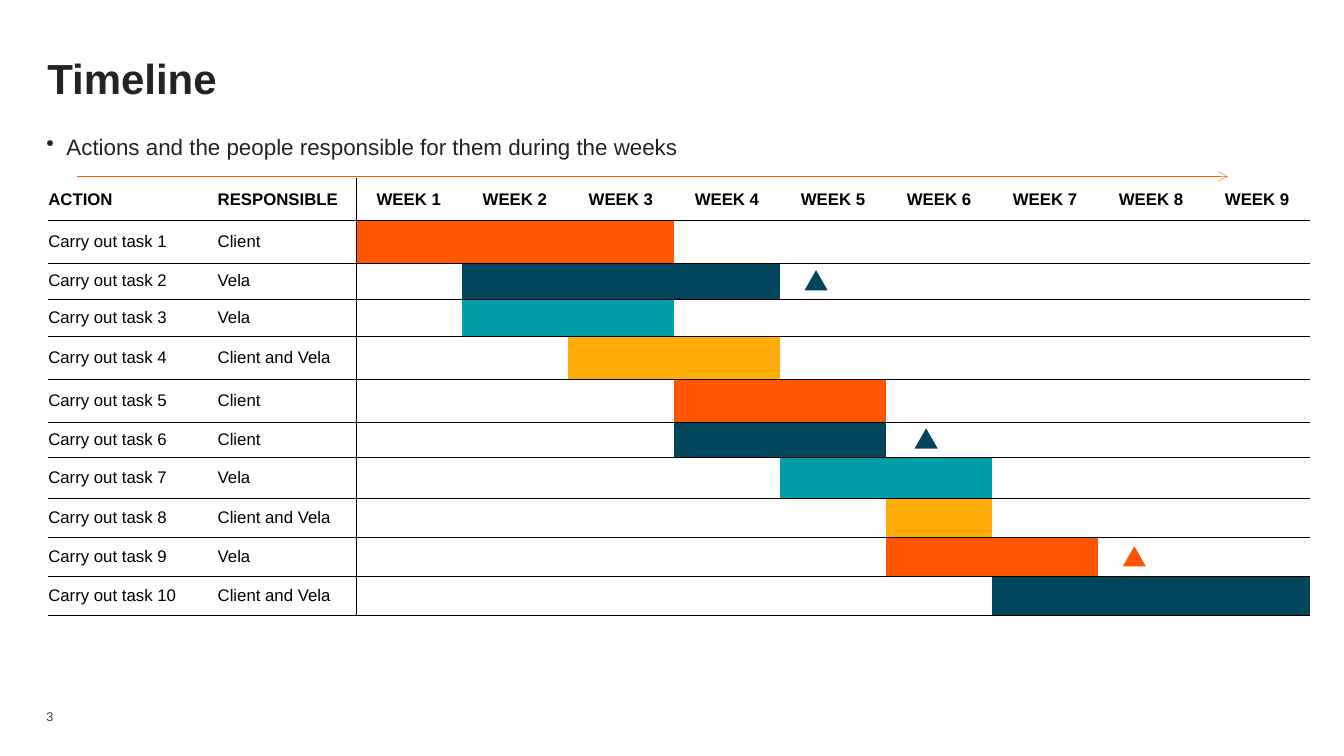
"""Build a timeline slide: a table of tasks by week with coloured bars and milestones."""
from pptx import Presentation
from pptx.dml.color import RGBColor
from pptx.enum.shapes import MSO_CONNECTOR as CONNECTOR, MSO_SHAPE as SHAPE
from pptx.enum.text import MSO_ANCHOR as ANCHOR, PP_ALIGN as ALIGN
from pptx.oxml.ns import qn
from pptx.util import Pt
from lxml.etree import SubElement

ORANGE, NAVY, TEAL, YELLOW = "FF5400", "00455C", "009EA6", "FFAB08"
BLACK, INK, GREY = "000000", "232323", "323E47"
FONT = "Arial"

TITLE = "Timeline"
SUBTITLE = "Actions and the people responsible for them during the weeks"
PAGE = "3"
WEEKS = 9
HEADERS = ["ACTION", "RESPONSIBLE"] + [f"WEEK {week}" for week in range(1, WEEKS + 1)]
# responsible, first week, last week, colour, row height
TASKS = [
    ("Client", 1, 3, ORANGE, 30.4),
    ("Vela", 2, 4, NAVY, 25.6),
    ("Vela", 2, 3, TEAL, 26.4),
    ("Client and Vela", 3, 4, YELLOW, 31.2),
    ("Client", 4, 5, ORANGE, 30.2),
    ("Client", 4, 5, NAVY, 25.4),
    ("Vela", 5, 6, TEAL, 29),
    ("Client and Vela", 6, 6, YELLOW, 28.4),
    ("Vela", 6, 7, ORANGE, 27.2),
    ("Client and Vela", 7, 9, NAVY, 28.2),
]
MILESTONES = [(574.7, 193, NAVY), (653.3, 306, NAVY), (802, 390.2, ORANGE)]

TABLE_LEFT, TABLE_TOP, HEADER_HEIGHT = 34.5, 127.3, 30.2
COLUMN_WIDTHS = [121, 98.7] + [75.75] * WEEKS
THIN, THICK = 0.25, 1


def color(value):
    return RGBColor.from_string(value)


def style(paragraph, size, ink, bold=False):
    font = paragraph.font
    font.name, font.size, font.bold = FONT, Pt(size), bold
    font.color.rgb = color(ink)


def clear_margins(box):
    box.margin_left = box.margin_right = box.margin_top = box.margin_bottom = 0


def add_text(slide, text, left, top, width, height, size, ink, bold=False):
    frame = slide.shapes.add_textbox(Pt(left), Pt(top), Pt(width), Pt(height)).text_frame
    frame.word_wrap = True
    clear_margins(frame)
    paragraph = frame.paragraphs[0]
    paragraph.text = text
    style(paragraph, size, ink, bold)
    return frame


def add_bullet(paragraph, indent):
    properties = paragraph._p.get_or_add_pPr()
    properties.set("marL", str(Pt(indent)))
    properties.set("indent", str(-Pt(indent)))
    bullet = properties.makeelement(qn("a:buChar"), {"char": "•"})
    properties.insert_element_before(bullet, "a:tabLst", "a:defRPr", "a:extLst")


def set_borders(cell, **widths):
    properties = cell._tc.get_or_add_tcPr()
    for side in "LRTB":
        width = widths.get(side, 0)
        line = SubElement(properties, qn(f"a:ln{side}"), w=str(Pt(width)))
        if width:
            fill = SubElement(line, qn("a:solidFill"))
            SubElement(fill, qn("a:srgbClr"), val=BLACK)
        else:
            SubElement(line, qn("a:noFill"))


def fill_cell(cell, row, column, text, bar):
    clear_margins(cell)
    cell.vertical_anchor = ANCHOR.MIDDLE
    paragraph = cell.text_frame.paragraphs[0]
    paragraph.text = text
    paragraph.alignment = ALIGN.LEFT if column < 2 else ALIGN.CENTER
    style(paragraph, 12, BLACK, bold=row == 0)
    set_borders(
        cell,
        L=THIN if column == 2 else 0,
        R=THIN if column == 1 else 0,
        T={0: 0, 1: THICK}.get(row, THIN),
        B=THICK if row == 0 else THIN,
    )
    if bar:
        cell.fill.solid()
        cell.fill.fore_color.rgb = color(bar)
    else:
        cell.fill.background()


def add_timeline(slide):
    heights = [HEADER_HEIGHT] + [task[-1] for task in TASKS]
    table = slide.shapes.add_table(
        len(heights), len(COLUMN_WIDTHS), Pt(TABLE_LEFT), Pt(TABLE_TOP),
        Pt(sum(COLUMN_WIDTHS)), Pt(sum(heights))).table
    table.first_row = table.horz_banding = False
    for column, width in zip(table.columns, COLUMN_WIDTHS):
        column.width = Pt(width)
    for row, height in zip(table.rows, heights):
        row.height = Pt(height)
    for column, header in enumerate(HEADERS):
        fill_cell(table.cell(0, column), 0, column, header, None)
    for row, (responsible, first, last, bar, _) in enumerate(TASKS, 1):
        texts = [f"Carry out task {row}", responsible] + [""] * WEEKS
        for column, text in enumerate(texts):
            in_bar = first <= column - 1 <= last
            fill_cell(table.cell(row, column), row, column, text, bar if in_bar else None)


def add_arrow(slide, left, right, top):
    arrow = slide.shapes.add_connector(
        CONNECTOR.STRAIGHT, Pt(left), Pt(top), Pt(right), Pt(top))
    arrow.line.color.rgb = color(ORANGE)
    arrow.line.width = Pt(THIN)
    SubElement(arrow.line._get_or_add_ln(), qn("a:tailEnd"), type="arrow")
    SubElement(arrow._element.spPr, qn("a:effectLst"))


def add_milestone(slide, left, top, fill):
    shape = slide.shapes.add_shape(
        SHAPE.ISOSCELES_TRIANGLE, Pt(left), Pt(top), Pt(16.5), Pt(14.4))
    shape.shadow.inherit = False
    shape.fill.solid()
    shape.fill.fore_color.rgb = color(fill)
    shape.line.fill.background()


def main():
    presentation = Presentation()
    presentation.slide_width, presentation.slide_height = Pt(960), Pt(540)
    slide = presentation.slides.add_slide(presentation.slide_layouts[6])

    title = add_text(slide, TITLE, 33.8, 40.3, 893, 34.6, 30, INK, bold=True)
    title.vertical_anchor = ANCHOR.MIDDLE
    title.paragraphs[0].line_spacing = 0.9
    add_text(slide, PAGE, 33.1, 506.2, 51, 14.4, 9, GREY)
    subtitle = add_text(slide, SUBTITLE, 33.1, 95, 631, 34.6, 16, INK).paragraphs[0]
    subtitle.space_after = Pt(10)
    add_bullet(subtitle, 14.4)

    add_timeline(slide)
    add_arrow(slide, 54.7, 877, 126)
    for milestone in MILESTONES:
        add_milestone(slide, *milestone)
    presentation.save("out.pptx")


if __name__ == "__main__":
    main()
